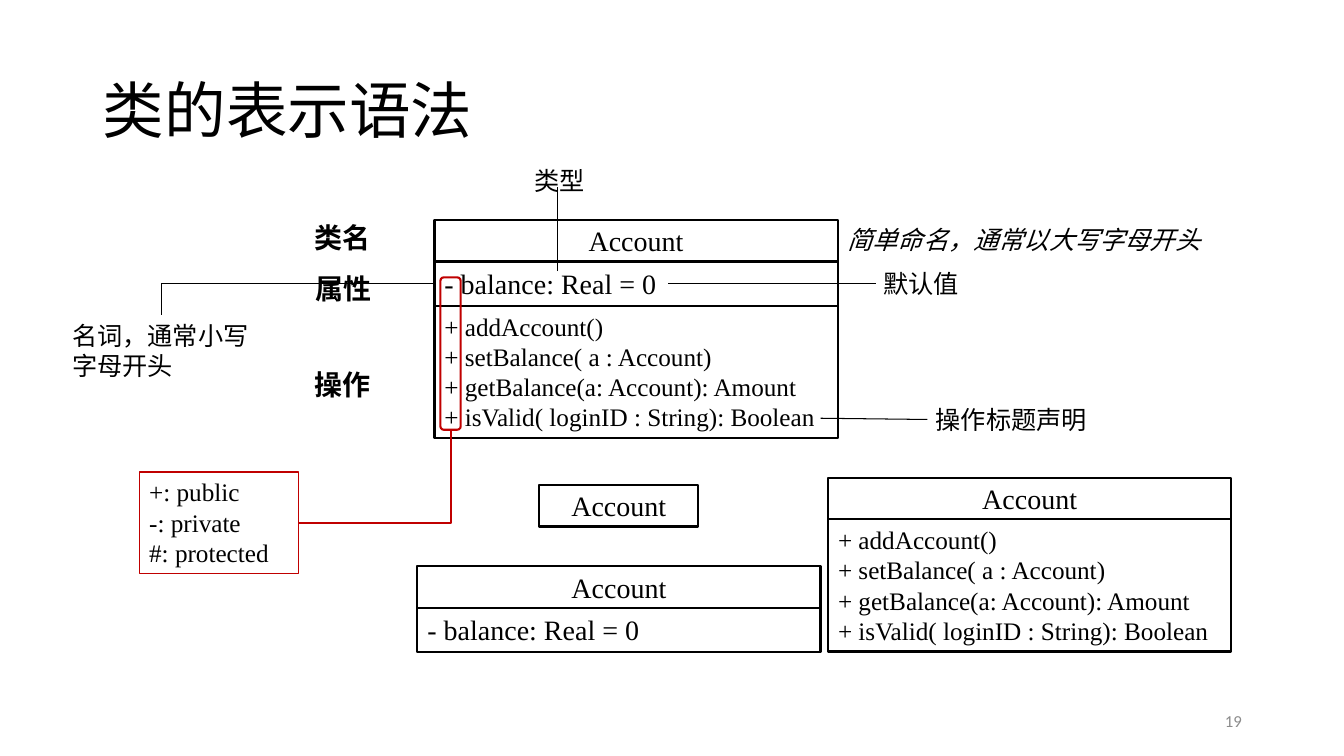
import dataclasses
import typing

import lxml.etree
import pptx
import pptx.dml.color
import pptx.enum.shapes
import pptx.enum.text
import pptx.oxml.ns
import pptx.util

Cm = pptx.util.Cm
Pt = pptx.util.Pt
Align = pptx.enum.text.PP_ALIGN
Anchor = pptx.enum.text.MSO_ANCHOR
Preset = pptx.enum.shapes.MSO_SHAPE
ConnectorKind = pptx.enum.shapes.MSO_CONNECTOR


@dataclasses.dataclass(frozen=True)
class Theme:
    ink: str = "000000"
    paper: str = "FFFFFF"
    accent: str = "C00000"
    muted: str = "8C8C8C"
    serif: str = "Times New Roman"
    sans: str = "Calibri"
    heading: str = "Arial"
    title_size: float = 44
    name_size: float = 20
    body_size: float = 18
    number_size: float = 12
    border: float = 1.5
    legend_border: float = 1
    pointer: float = 0.75
    thin_pointer: float = 0.5


THEME = Theme()


@dataclasses.dataclass(frozen=True)
class Box:
    left: float
    top: float
    width: float
    height: float

    def lengths(self) -> tuple:
        return tuple(Cm(value) for value in dataclasses.astuple(self))


@dataclasses.dataclass(frozen=True)
class TextStyle:
    size: float = THEME.body_size
    font: str = THEME.serif
    color: str = THEME.ink
    bold: bool = False
    italic: bool = False
    align: Align = Align.LEFT
    anchor: Anchor = Anchor.TOP
    wrap: bool = True


@dataclasses.dataclass(frozen=True)
class Label:
    text: str
    box: Box
    style: TextStyle


@dataclasses.dataclass(frozen=True)
class UmlClass:
    left: float
    top: float
    width: float = 10.16
    attributes: tuple = ()
    operations: tuple = ()


@dataclasses.dataclass(frozen=True)
class Pointer:
    start: tuple
    end: tuple


NAME = TextStyle(THEME.name_size, align=Align.CENTER, anchor=Anchor.MIDDLE)
ATTRIBUTE = TextStyle(THEME.name_size)
BODY = TextStyle()
NOTE = TextStyle(align=Align.RIGHT, wrap=False)
SECTION = TextStyle(THEME.name_size, THEME.heading, bold=True, align=Align.CENTER)
TITLE = TextStyle(THEME.title_size, THEME.sans, anchor=Anchor.MIDDLE)
NUMBER = TextStyle(THEME.number_size, THEME.sans, THEME.muted,
                   align=Align.RIGHT, anchor=Anchor.MIDDLE)

NAME_HEIGHT = 1.05
ATTRIBUTE_HEIGHT = 1.12
OPERATIONS_HEIGHT = 3.33

ATTRIBUTES = ("- balance: Real = 0",)
OPERATIONS = (
    "+ addAccount()",
    "+ setBalance( a : Account)",
    "+ getBalance(a: Account): Amount",
    "+ isValid( loginID : String): Boolean",
)
VISIBILITIES = ("+: public", "-: private", "#: protected")

FULL_CLASS = UmlClass(10.95, 5.54, attributes=ATTRIBUTES, operations=OPERATIONS)
SHORT_CLASSES = (
    UmlClass(13.59, 12.22, 4.01),
    UmlClass(10.52, 14.27, attributes=ATTRIBUTES),
    UmlClass(20.87, 12.04, operations=OPERATIONS),
)
NOUN_NOTE = Label("名词，通常小写字母开头", Box(1.57, 7.95, 5, 1.8), BODY)
LABELS = (
    Label("简单命名，通常以大写字母开头", Box(21.11, 5.54, 9.5, 1.02),
          TextStyle(italic=True, wrap=False)),
    Label("类型", Box(13.18, 4.04, 1.8, 1.02), NOTE),
    Label("默认值", Box(21.97, 6.63, 2.44, 1.02), NOTE),
    Label("操作标题声明", Box(23.27, 10.06, 4.37, 1.02), NOTE),
    Label("类名", Box(7.67, 5.44, 1.96, 1.12),
          TextStyle(THEME.name_size, THEME.sans, bold=True, wrap=False)),
    Label("属性", Box(5.16, 6.74, 6.99, 1.07),
          dataclasses.replace(SECTION, anchor=Anchor.BOTTOM)),
    Label("操作", Box(6.78, 9.14, 3.73, 1.09), SECTION),
    Label("19", Box(23.93, 17.65, 7.62, 1.02), NUMBER),
)
POINTERS = (
    Pointer((14.05, 6.83), (14.05, 4.7)),
    Pointer((16.84, 7.14), (22.07, 7.14)),
    Pointer((20.68, 10.54), (23.37, 10.57)),
)


def rgb(color: str) -> pptx.dml.color.RGBColor:
    return pptx.dml.color.RGBColor.from_string(color)


def apply_format(target: typing.Any, values: dict) -> None:
    for name, value in values.items():
        setattr(target, name, value)


def write_text(shape: typing.Any, lines: tuple, style: TextStyle) -> None:
    frame = shape.text_frame
    frame.text = "\n".join(lines)
    apply_format(frame, {
        "word_wrap": style.wrap,
        "vertical_anchor": style.anchor,
        "auto_size": pptx.enum.text.MSO_AUTO_SIZE.NONE,
    })
    for paragraph in frame.paragraphs:
        paragraph.alignment = style.align
        font = paragraph.runs[0].font
        apply_format(font, {"size": Pt(style.size), "name": style.font,
                            "bold": style.bold, "italic": style.italic})
        font.color.rgb = rgb(style.color)


def draw_label(slide: typing.Any, label: Label) -> typing.Any:
    shape = slide.shapes.add_textbox(*label.box.lengths())
    write_text(shape, (label.text,), label.style)
    return shape


def draw_frame(slide: typing.Any, box: Box, preset: Preset = Preset.RECTANGLE,
               fill: typing.Optional[str] = None, color: str = THEME.ink,
               width: float = THEME.border) -> typing.Any:
    shape = slide.shapes.add_shape(preset, *box.lengths())
    shape.shadow.inherit = False
    if fill:
        shape.fill.solid()
        shape.fill.fore_color.rgb = rgb(fill)
    else:
        shape.fill.background()
    shape.line.color.rgb = rgb(color)
    shape.line.width = Pt(width)
    return shape


def draw_class(slide: typing.Any, uml_class: UmlClass) -> dict:
    compartments = (
        ("name", ("Account",), NAME_HEIGHT, NAME),
        ("attributes", uml_class.attributes, ATTRIBUTE_HEIGHT, ATTRIBUTE),
        ("operations", uml_class.operations, OPERATIONS_HEIGHT, BODY),
    )
    shapes, top = {}, uml_class.top
    for key, lines, height, style in compartments:
        if lines:
            box = Box(uml_class.left, top, uml_class.width, height)
            shapes[key] = draw_frame(slide, box, fill=THEME.paper)
            write_text(shapes[key], lines, style)
            top += height
    return shapes


def draw_connector(slide: typing.Any, kind: ConnectorKind, pointer: Pointer,
                   color: str, width: float) -> typing.Any:
    ends = [Cm(value) for value in pointer.start + pointer.end]
    connector = slide.shapes.add_connector(kind, *ends)
    connector.line.color.rgb = rgb(color)
    connector.line.width = Pt(width)
    properties = connector._element.spPr
    lxml.etree.SubElement(properties, pptx.oxml.ns.qn("a:effectLst"))
    if kind == ConnectorKind.ELBOW:
        properties.find(pptx.oxml.ns.qn("a:prstGeom")).set("prst", "bentConnector2")
    return connector


def main() -> None:
    presentation = pptx.Presentation()
    apply_format(presentation, {"slide_width": Cm(33.87), "slide_height": Cm(19.05)})
    slide = presentation.slides.add_slide(presentation.slide_layouts[5])

    title = slide.shapes.title
    names = ("left", "top", "width", "height")
    apply_format(title, dict(zip(names, Box(2.34, 1.02, 29.21, 3.68).lengths())))
    write_text(title, ("类的表示语法",), TITLE)
    title.text_frame.paragraphs[0].line_spacing = 0.9

    account = draw_class(slide, FULL_CLASS)
    for uml_class in SHORT_CLASSES:
        draw_class(slide, uml_class)
    for label in LABELS:
        draw_label(slide, label)
    noun_note = draw_label(slide, NOUN_NOTE)
    for pointer in POINTERS:
        draw_connector(slide, ConnectorKind.STRAIGHT, pointer, THEME.ink, THEME.pointer)

    legend = draw_frame(slide, Box(3.51, 11.89, 4.01, 2.57), color=THEME.accent,
                        width=THEME.legend_border)
    write_text(legend, VISIBILITIES, BODY)
    marks = draw_frame(slide, Box(11.1, 6.99, 0.51, 3.84), Preset.ROUNDED_RECTANGLE,
                       color=THEME.accent)

    noun_link = draw_connector(slide, ConnectorKind.ELBOW,
                               Pointer((10.95, 7.15), (4.07, 7.95)),
                               THEME.ink, THEME.thin_pointer)
    noun_link.begin_connect(account["attributes"], 1)
    noun_link.end_connect(noun_note, 0)
    legend_link = draw_connector(slide, ConnectorKind.ELBOW,
                                 Pointer((7.52, 13.18), (11.36, 10.83)),
                                 THEME.accent, THEME.border)
    legend_link.begin_connect(legend, 3)
    legend_link.end_connect(marks, 2)

    presentation.save("out.pptx")


if __name__ == "__main__":
    main()
